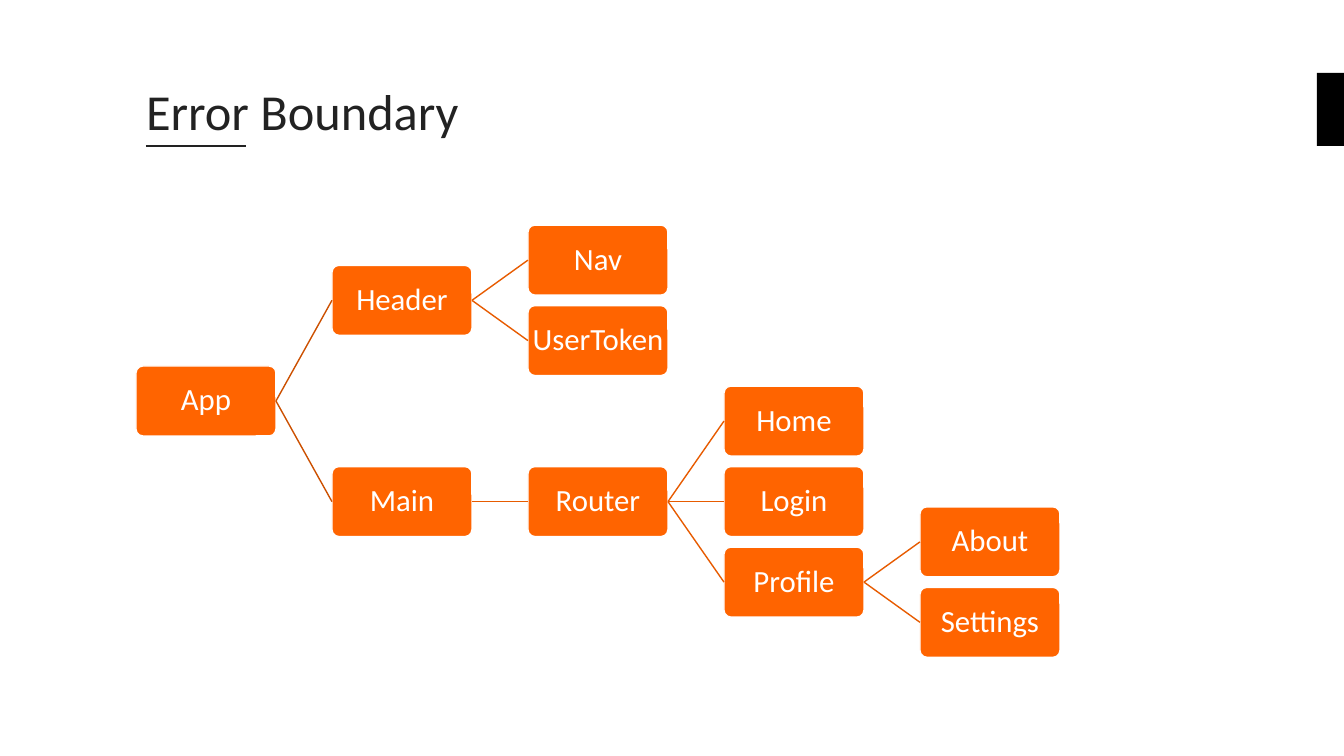
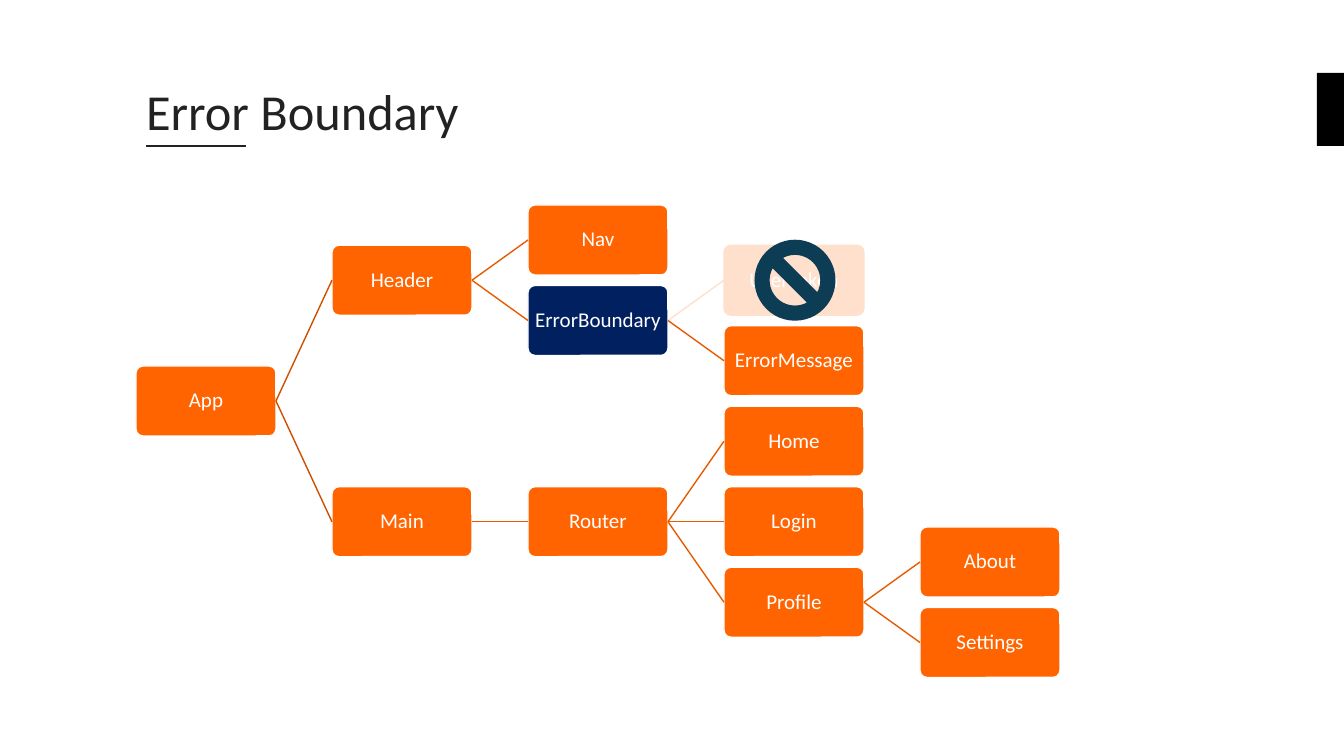
from lxml import etree
from pptx import Presentation, util as u
from pptx.dml.color import RGBColor
from pptx.enum import shapes, text
from pptx.oxml.ns import qn

PX = 914400 / 100.8
FONT = "Calibri"
COLORS = {
    "ink": "222222", "band": "000000", "white": "FFFFFF", "node": "FF6400",
    "boundary": "002060", "faded": "FFE0CC", "root_edge": "CC5000",
    "edge": "E75B00", "stop": "0D3C55",
}
TITLE_BOX = (136, 40, 1119, 106)
BAND_BOX = (1317, 73, 27, 73)
TREE_BOX = (136, 201, 924, 400)
NODE_W, NODE_H = 140, 70
COLUMN_STEP, ROW_STEP = NODE_W * 1.4, NODE_H * 1.15
STOP_SIZE = 81

MAIN_ROUTES = {"Home": 2, "Login": 3, "Profile": {"About": 3.5, "Settings": 4.5}}
PLAIN_TREE = {
    "Header": {"Nav": 0, "UserToken": 1},
    "Main": {"Router": MAIN_ROUTES},
}


def shifted(branch, rows):
    """Return the branch with every leaf moved down by a number of rows."""
    if isinstance(branch, dict):
        return {name: shifted(child, rows) for name, child in branch.items()}
    return branch + rows


GUARDED_TREE = {
    "Header": {"Nav": 0, "ErrorBoundary": {"UserToken": 0.5, "ErrorMessage": 1.5}},
    "Main": {"Router": shifted(MAIN_ROUTES, 0.5)},
}


def px(length):
    """Turn pixels into EMU."""
    return u.Emu(round(length * PX))


def color(key):
    """Look up a palette colour."""
    return RGBColor.from_string(COLORS[key])


def add_block(slide, preset, box, fill, border=None):
    """Add a flat preset shape with an optional 1 pt border."""
    block = slide.shapes.add_shape(preset, *map(px, box))
    block.shadow.inherit = False
    block.fill.solid()
    block.fill.fore_color.rgb = color(fill)
    if border:
        block.line.color.rgb = color(border)
        block.line.width = u.Pt(1)
    else:
        block.line.fill.background()
    return block


def add_rule(slide, ends, stroke, points):
    """Add a straight line without a shadow."""
    rule = slide.shapes.add_connector(shapes.MSO_CONNECTOR.STRAIGHT, *map(px, ends))
    rule.line.color.rgb = color(stroke)
    rule.line.width = u.Pt(points)
    etree.SubElement(rule._element.spPr, qn("a:effectLst"))
    return rule


def write(holder, words, size, ink, align, anchor, insets):
    """Write one formatted paragraph into a shape."""
    frame = holder.text_frame
    frame.text = words
    frame.vertical_anchor = anchor
    frame.margin_left = frame.margin_right = px(insets[0])
    frame.margin_top = frame.margin_bottom = px(insets[1])
    paragraph = frame.paragraphs[0]
    paragraph.alignment = align
    paragraph.line_spacing = 0.9
    font = paragraph.runs[0].font
    font.name, font.size, font.color.rgb = FONT, u.Pt(size), color(ink)


def add_heading(slide, box, words):
    """Place the title, its underline and the edge band."""
    left, top, _, height = box
    add_block(slide, shapes.MSO_SHAPE.RECTANGLE, BAND_BOX, "band")
    base = top + height
    add_rule(slide, (left + 10, base, left + 110, base), "ink", 2)
    title = slide.shapes.add_textbox(*map(px, box))
    title.text_frame.word_wrap = True
    write(title, words, 36, "ink", text.PP_ALIGN.LEFT, text.MSO_ANCHOR.BOTTOM, (10, 5))


def row_of(branch):
    """Centre a parent between its first and last child."""
    if not isinstance(branch, dict):
        return branch
    rows = [row_of(child) for child in branch.values()]
    return (rows[0] + rows[-1]) / 2


def add_tree(slide, box, root_name, tree, size, fills):
    """Draw the component tree around the middle of the box and return its nodes."""
    left, top, _, height = box
    first_row_y = top + (height - NODE_H) / 2 - row_of(tree) * ROW_STEP
    nodes = {}

    def add_branch(name, branch, depth, parent=None):
        """Draw a node, the edge to its parent and its children."""
        fill = fills.get(name, "node")
        faded = fill == "faded"
        spot = (left + depth * COLUMN_STEP, first_row_y + row_of(branch) * ROW_STEP)
        node = add_block(slide, shapes.MSO_SHAPE.ROUNDED_RECTANGLE,
                         (*spot, NODE_W, NODE_H), fill, "faded" if faded else "white")
        node.adjustments[0] = 0.1
        node.text_frame.word_wrap = False
        write(node, name, size, "white", text.PP_ALIGN.CENTER,
              text.MSO_ANCHOR.MIDDLE, (2, 2))
        nodes[name] = node
        if parent is not None:
            stroke = "faded" if faded else "root_edge" if depth == 1 else "edge"
            edge = add_rule(slide, (0, 0, 0, 0), stroke, 1)
            edge.begin_connect(parent, 3)
            edge.end_connect(node, 1)
        if isinstance(branch, dict):
            for child_name, child in branch.items():
                add_branch(child_name, child, depth + 1, node)

    add_branch(root_name, tree, 0)
    return nodes


def add_stop_sign(slide, node):
    """Cover the middle of a node with a stop sign."""
    center_x = (node.left + node.width / 2) / PX
    center_y = (node.top + node.height / 2) / PX
    half = STOP_SIZE / 2
    add_block(slide, shapes.MSO_SHAPE.NO_SYMBOL,
              (center_x + 1 - half, center_y - half, STOP_SIZE, STOP_SIZE), "stop")


def add_tree_slide(deck, tree, size, fills):
    """Add a titled slide with a component tree."""
    slide = deck.slides.add_slide(deck.slide_layouts[6])
    add_heading(slide, TITLE_BOX, "Error Boundary")
    return slide, add_tree(slide, TREE_BOX, "App", tree, size, fills)


def main():
    """Build and save the deck."""
    deck = Presentation()
    deck.slide_width, deck.slide_height = px(1344), px(756)
    add_tree_slide(deck, PLAIN_TREE, 22, {})
    slide, nodes = add_tree_slide(
        deck, GUARDED_TREE, 15, {"ErrorBoundary": "boundary", "UserToken": "faded"})
    add_stop_sign(slide, nodes["UserToken"])
    deck.save("out.pptx")


if __name__ == "__main__":
    main()
